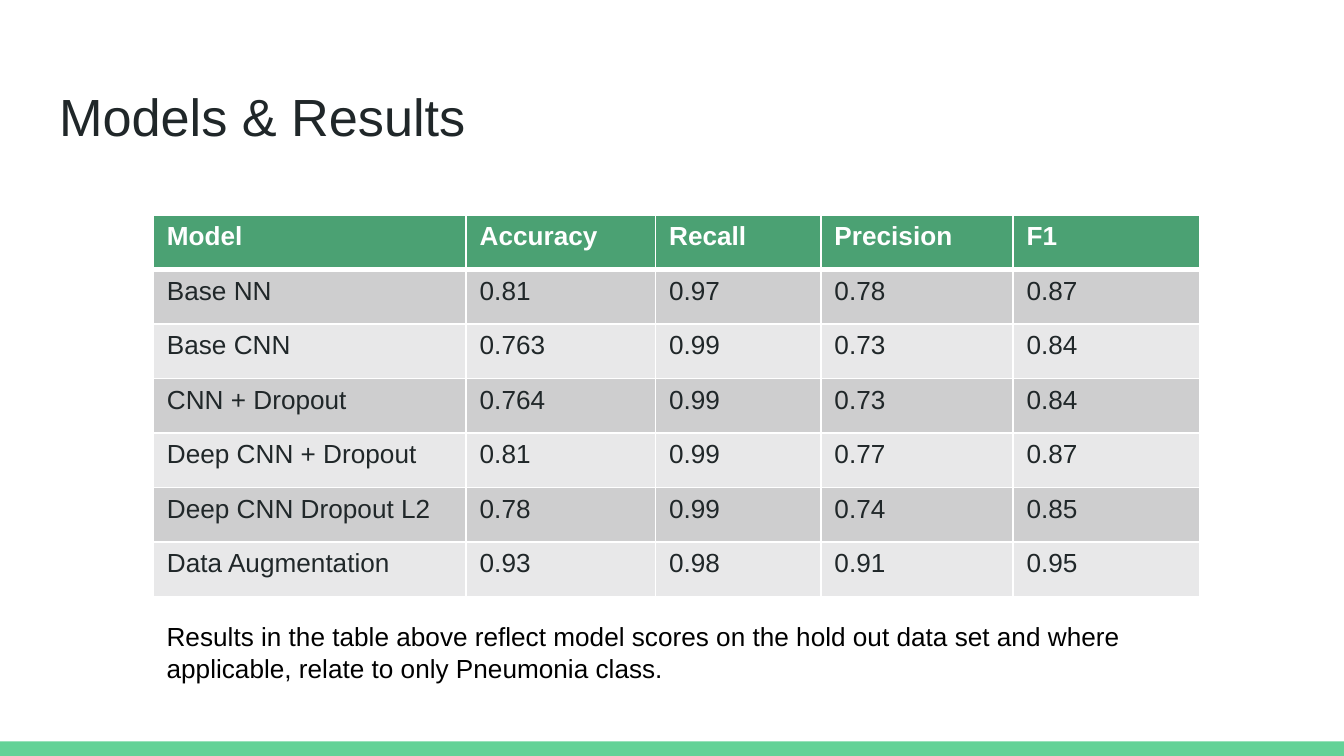
from dataclasses import dataclass

from lxml.etree import SubElement
from pptx import Presentation
from pptx.dml.color import RGBColor
from pptx.enum.shapes import MSO_SHAPE
from pptx.enum.text import MSO_ANCHOR, PP_ALIGN
from pptx.oxml.ns import qn
from pptx.util import Pt

COLORS = {
    "accent": "63D297",
    "header": "4BA173",
    "odd_row": "CECECF",
    "even_row": "E8E8E9",
    "ink": "202729",
    "white": "FFFFFF",
    "black": "000000",
}
SLIDE_WIDTH, SLIDE_HEIGHT = 720, 405
TABLE_LEFT, TABLE_TOP = 82.2, 115.2
COLUMN_WIDTHS = (167.6, 101.5, 88.6, 102.9, 100.1)
ROW_HEIGHT = 29.2
HEADINGS = ("Model", "Accuracy", "Recall", "Precision", "F1")


@dataclass(frozen=True)
class Result:
    model: str
    accuracy: str
    recall: str
    precision: str
    f1: str

    def values(self) -> tuple:
        return self.model, self.accuracy, self.recall, self.precision, self.f1


RESULTS = (
    Result("Base NN", "0.81", "0.97", "0.78", "0.87"),
    Result("Base CNN", "0.763", "0.99", "0.73", "0.84"),
    Result("CNN + Dropout", "0.764", "0.99", "0.73", "0.84"),
    Result("Deep CNN + Dropout", "0.81", "0.99", "0.77", "0.87"),
    Result("Deep CNN Dropout L2", "0.78", "0.99", "0.74", "0.85"),
    Result("Data Augmentation", "0.93", "0.98", "0.91", "0.95"),
)


def set_attributes(target, values: dict) -> None:
    for name, value in values.items():
        setattr(target, name, value)


def write_text(text_frame, text: str, size: float, color: str, bold: bool = False) -> None:
    paragraph = text_frame.paragraphs[0]
    paragraph.alignment = PP_ALIGN.LEFT
    run = paragraph.add_run()
    run.text = text
    set_attributes(run.font, {"name": "Arial", "size": Pt(size), "bold": bold})
    run.font.color.rgb = RGBColor.from_string(COLORS[color])


def set_borders(cell, bottom_width: float) -> None:
    properties = cell._tc.get_or_add_tcPr()
    widths = {"a:lnL": 1, "a:lnR": 1, "a:lnT": 1, "a:lnB": bottom_width}
    for position, (tag, width) in enumerate(widths.items()):
        line = SubElement(properties, qn(tag), w=str(Pt(width)))
        fill = SubElement(line, qn("a:solidFill"))
        SubElement(fill, qn("a:srgbClr"), val=COLORS["white"])
        # Border lines come before the cell fill
        properties.insert(position, line)


def add_footer_bar(slide) -> None:
    height = 7.8
    bar = slide.shapes.add_shape(
        MSO_SHAPE.RECTANGLE, 0, Pt(SLIDE_HEIGHT - height), Pt(SLIDE_WIDTH), Pt(height)
    )
    bar.shadow.inherit = False
    bar.fill.solid()
    bar.fill.fore_color.rgb = RGBColor.from_string(COLORS["accent"])
    bar.line.fill.background()


def add_title(slide, text: str) -> None:
    title = slide.shapes.title
    set_attributes(title, {
        "left": Pt(24.5), "top": Pt(35.3), "width": Pt(671), "height": Pt(45.1),
    })
    set_attributes(title.text_frame, {
        "word_wrap": True,
        "vertical_anchor": MSO_ANCHOR.TOP,
        "margin_left": Pt(7.2),
        "margin_right": Pt(7.2),
        "margin_top": Pt(10),
        "margin_bottom": 0,
    })
    write_text(title.text_frame, text, 28, "ink")


def add_results_table(slide) -> None:
    rows = [HEADINGS, *(result.values() for result in RESULTS)]
    table = slide.shapes.add_table(
        len(rows), len(HEADINGS), Pt(TABLE_LEFT), Pt(TABLE_TOP),
        Pt(sum(COLUMN_WIDTHS)), Pt(ROW_HEIGHT * len(rows)),
    ).table
    table.horz_banding = False
    for column, width in zip(table.columns, COLUMN_WIDTHS):
        column.width = Pt(width)
    for row_index, values in enumerate(rows):
        table.rows[row_index].height = Pt(ROW_HEIGHT)
        is_header = row_index == 0
        band = "header" if is_header else ("even_row", "odd_row")[row_index % 2]
        for column_index, value in enumerate(values):
            cell = table.cell(row_index, column_index)
            cell.fill.solid()
            cell.fill.fore_color.rgb = RGBColor.from_string(COLORS[band])
            set_borders(cell, 3 if is_header else 1)
            write_text(cell.text_frame, value, 14, "white" if is_header else "ink", is_header)


def add_note(slide, text: str) -> None:
    note = slide.shapes.add_textbox(
        Pt(TABLE_LEFT), Pt(329), Pt(sum(COLUMN_WIDTHS)), Pt(41)
    )
    note.text_frame.word_wrap = True
    write_text(note.text_frame, text, 14, "black")


def main() -> None:
    presentation = Presentation()
    set_attributes(presentation, {
        "slide_width": Pt(SLIDE_WIDTH), "slide_height": Pt(SLIDE_HEIGHT),
    })
    # Title Only layout
    slide = presentation.slides.add_slide(presentation.slide_layouts[5])

    add_footer_bar(slide)
    add_title(slide, "Models & Results")
    add_results_table(slide)
    add_note(
        slide,
        "Results in the table above reflect model scores on the hold out data set "
        "and where applicable, relate to only Pneumonia class.",
    )
    presentation.save("out.pptx")


if __name__ == "__main__":
    main()
